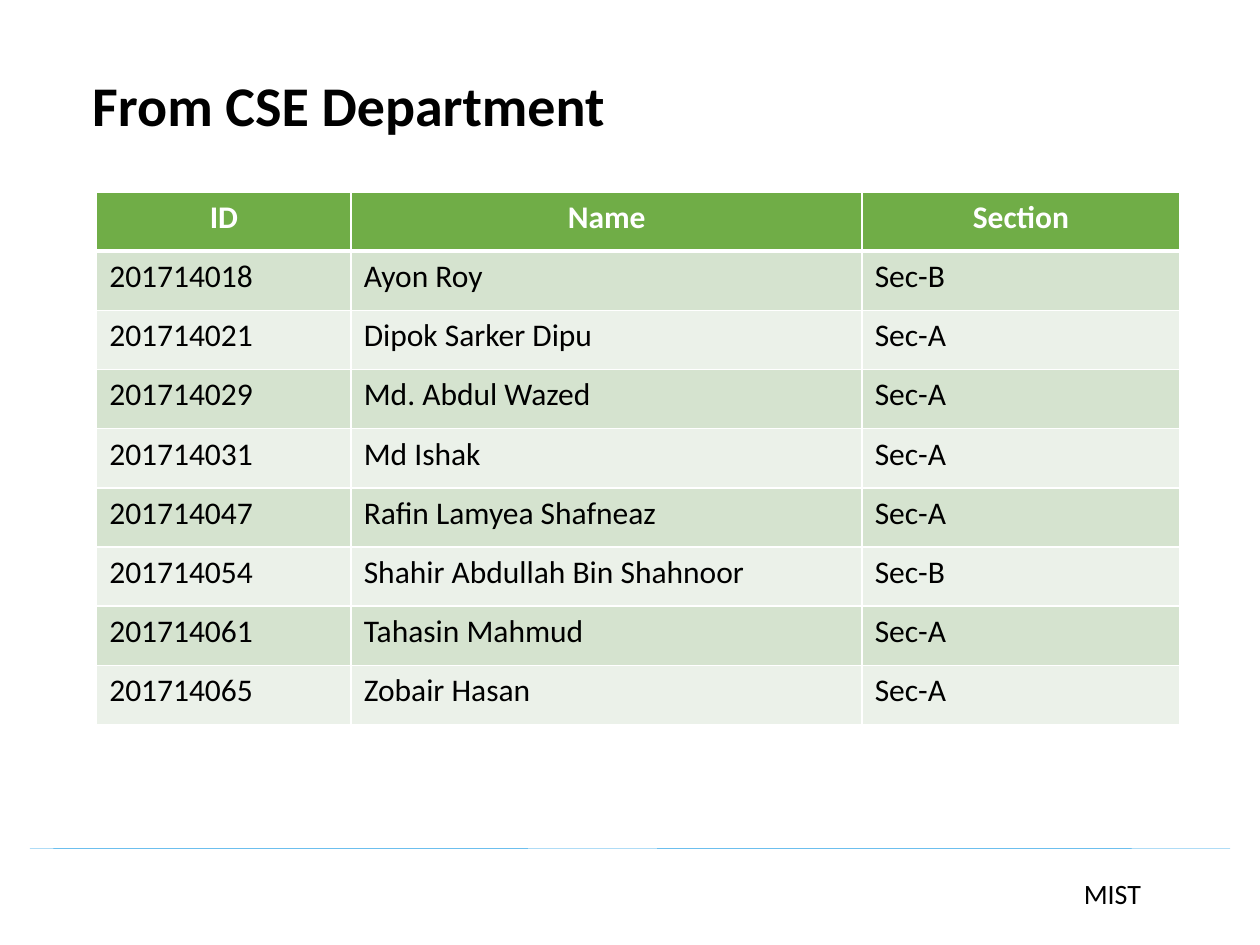
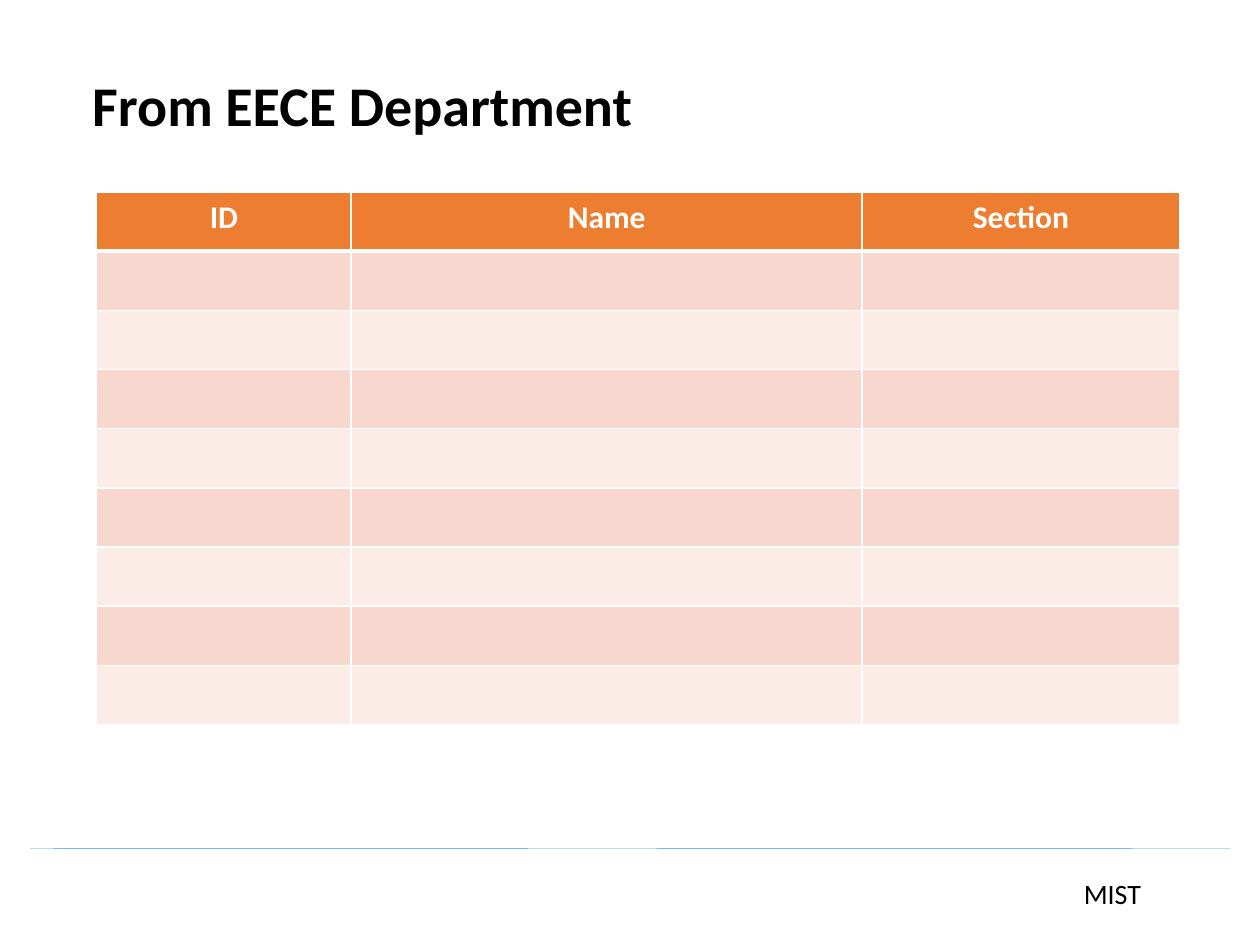
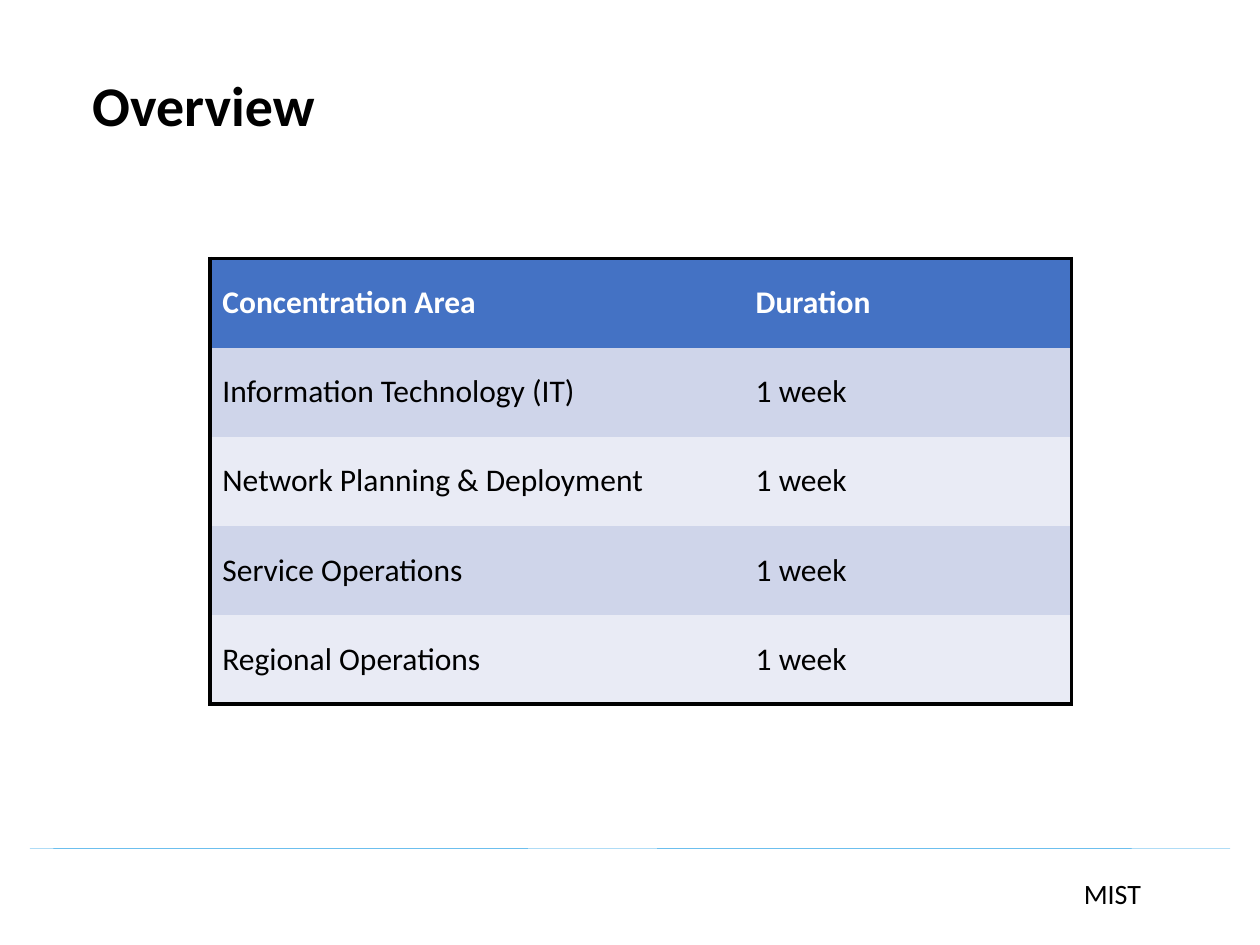
import pptx
import pptx.dml.color
import pptx.enum.shapes
import pptx.enum.text
import pptx.oxml.ns
import pptx.util
from lxml import etree

Cm = pptx.util.Cm
Align = pptx.enum.text.PP_ALIGN
Anchor = pptx.enum.text.MSO_ANCHOR

FONT = "Calibri"
BLACK = "000000"
WHITE = "FFFFFF"
BLUE = "1E9DE6"

HEAD = ("ID", "Name", "Section")
CSE = [
    HEAD,
    ("201714018", "Ayon Roy", "Sec-B"),
    ("201714021", "Dipok Sarker Dipu", "Sec-A"),
    ("201714029", "Md. Abdul Wazed", "Sec-A"),
    ("201714031", "Md Ishak", "Sec-A"),
    ("201714047", "Rafin Lamyea Shafneaz", "Sec-A"),
    ("201714054", "Shahir Abdullah Bin Shahnoor", "Sec-B"),
    ("201714061", "Tahasin Mahmud", "Sec-A"),
    ("201714065", "Zobair Hasan", "Sec-A"),
]
EECE = [HEAD] + [("", "", "")] * 8
AREAS = [
    ("Concentration Area", "Duration"),
    ("Information Technology (IT)", "1 week"),
    ("Network Planning & Deployment", "1 week"),
    ("Service Operations", "1 week"),
    ("Regional Operations", "1 week"),
]

ROSTER = {"left": 1.95, "top": 3.87, "high": 10.74, "cols": (5.13, 10.3, 6.4),
          "align": Align.CENTER, "anchor": Anchor.TOP, "grid": True}
PLAN = {"left": 4.23, "top": 5.21, "high": 8.98, "cols": (10.75, 6.62),
        "align": Align.LEFT, "anchor": Anchor.MIDDLE, "grid": False}

SLIDES = [
    ("From CSE Department", 10.95, CSE, ROSTER, ("70AD47", "D5E3CF", "EBF1E9")),
    ("From EECE Department", 11.51, EECE, ROSTER, ("ED7D31", "F8D7CE", "FCECE8")),
    ("Overview", 5.03, AREAS, PLAN, ("4472C4", "CFD5EA", "E9EBF5")),
]


def paint(code):
    return pptx.dml.color.RGBColor.from_string(code)


def write(para, text, size, color, bold=False):
    run = para.add_run()
    run.text = text
    run.font.name = FONT
    run.font.size = pptx.util.Pt(size)
    run.font.bold = bold
    run.font.color.rgb = paint(color)


def add_text(slide, text, box, size, bold=False):
    frame = slide.shapes.add_textbox(*map(Cm, box)).text_frame
    frame.word_wrap = False
    frame.auto_size = pptx.enum.text.MSO_AUTO_SIZE.SHAPE_TO_FIT_TEXT
    write(frame.paragraphs[0], text, size, BLACK, bold)


def add_rule(slide):
    kind = pptx.enum.shapes.MSO_CONNECTOR.STRAIGHT
    rule = slide.shapes.add_connector(kind, Cm(0.6), Cm(17.1), Cm(24.8), Cm(17.11))
    rule.line.color.rgb = paint(BLUE)
    rule.line.width = pptx.util.Pt(0.25)
    props = rule._element.spPr
    etree.SubElement(props, pptx.oxml.ns.qn("a:effectLst"))


def set_edge(cell, side, color, width):
    qn = pptx.oxml.ns.qn
    edge = etree.SubElement(cell._tc.get_or_add_tcPr(), qn("a:ln" + side))
    if not width:
        etree.SubElement(edge, qn("a:noFill"))
        return
    edge.set("w", str(pptx.util.Pt(width)))
    fill = etree.SubElement(edge, qn("a:solidFill"))
    etree.SubElement(fill, qn("a:srgbClr")).set("val", color)


def edge_cell(cell, row, col, rows, cols, grid):
    if grid:
        color = WHITE
        widths = {"L": 1, "R": 1, "T": 3 if row == 1 else 1, "B": 3 if row == 0 else 1}
    else:
        color = BLACK
        outer = {"L": col == 0, "R": col == cols - 1, "T": row == 0, "B": row == rows - 1}
        widths = {side: 2.25 * out for side, out in outer.items()}
    for side, width in widths.items():
        set_edge(cell, side, color, width)


def add_table(slide, data, look, fills):
    rows, cols = len(data), len(look["cols"])
    place = look["left"], look["top"], sum(look["cols"]), look["high"]
    table = slide.shapes.add_table(rows, cols, *map(Cm, place)).table
    for col, wide in enumerate(look["cols"]):
        table.columns[col].width = Cm(wide)
    for row, texts in enumerate(data):
        table.rows[row].height = Cm(look["high"] / rows)
        head = row == 0
        for col, text in enumerate(texts):
            cell = table.cell(row, col)
            edge_cell(cell, row, col, rows, cols, look["grid"])
            cell.fill.solid()
            cell.fill.fore_color.rgb = paint(fills[0] if head else fills[2 - row % 2])
            cell.vertical_anchor = look["anchor"]
            para = cell.text_frame.paragraphs[0]
            para.alignment = look["align"] if head else Align.LEFT
            if text:
                write(para, text, 18, WHITE if head else BLACK, head)


def main():
    deck = pptx.Presentation()
    deck.slide_width, deck.slide_height = Cm(25.4), Cm(19.05)
    for title, wide, data, look, fills in SLIDES:
        slide = deck.slides.add_slide(deck.slide_layouts[6])
        add_rule(slide)
        add_text(slide, "MIST", (21.6, 17.55, 1.75, 0.94), 16)
        add_text(slide, title, (1.61, 1.3, wide, 1.63), 32, True)
        add_table(slide, data, look, fills)
    deck.save("out.pptx")


if __name__ == "__main__":
    main()
